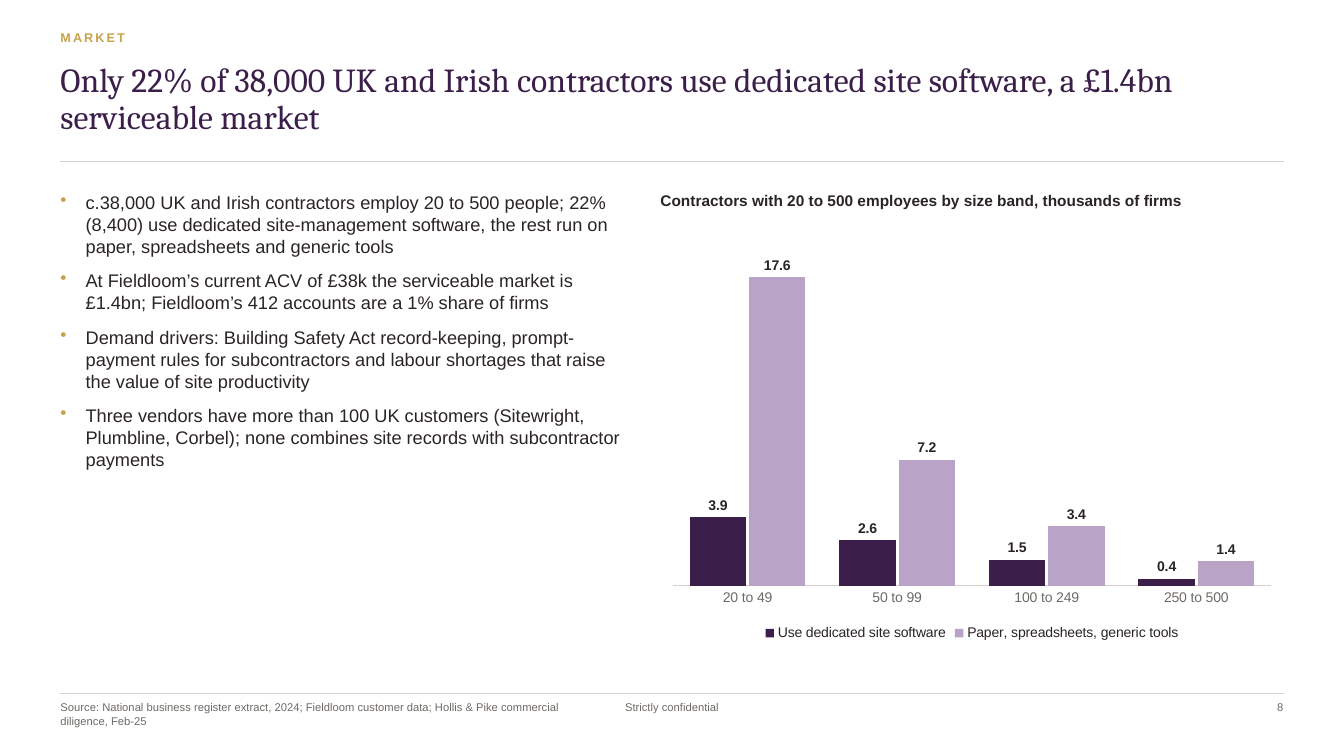
from pptx import Presentation, util as u
from pptx.chart.data import CategoryChartData
from pptx.dml.color import RGBColor
from pptx.enum import chart as charts, shapes, text
from pptx.oxml import parse_xml
from pptx.oxml.ns import nsdecls, qn

PLUM, LILAC, GOLD, INK, GREY, RULE = "3B1F4A", "B9A3C6", "C8A24A", "2A2328", "6E6A66", "D8D2CA"
SECTION = "MARKET"
HEADLINE = "Only 22% of 38,000 UK and Irish contractors use dedicated site software, a £1.4bn serviceable market"
POINTS = [
    "c.38,000 UK and Irish contractors employ 20 to 500 people; 22% (8,400) use dedicated site-management software, the rest run on paper, spreadsheets and generic tools",
    "At Fieldloom’s current ACV of £38k the serviceable market is £1.4bn; Fieldloom’s 412 accounts are a 1% share of firms",
    "Demand drivers: Building Safety Act record-keeping, prompt-payment rules for subcontractors and labour shortages that raise the value of site productivity",
    "Three vendors have more than 100 UK customers (Sitewright, Plumbline, Corbel); none combines site records with subcontractor payments",
]
CHART_TITLE = "Contractors with 20 to 500 employees by size band, thousands of firms"
SIZE_BANDS = ["20 to 49", "50 to 99", "100 to 249", "250 to 500"]
SERIES = [
    ("Use dedicated site software", [3.9, 2.6, 1.5, 0.4], PLUM),
    ("Paper, spreadsheets, generic tools", [17.6, 7.2, 3.4, 1.4], LILAC),
]
SOURCE = "Source: National business register extract, 2024; Fieldloom customer data; Hollis & Pike commercial diligence, Feb-25"
CONFIDENTIAL = "Strictly confidential"
PAGE_NUMBER = "8"

WIDTH, HEIGHT, MARGIN = 13.33, 7.5, 0.6
RIGHT = WIDTH - MARGIN
BODY_TOP, BODY_BOTTOM, FOOTER_TOP = 1.9, 6.4, 6.95
CHART_LEFT, CHART_TOP = 6.55, 2.25
CHART_WIDTH = RIGHT - CHART_LEFT
CENTRE, END = text.PP_ALIGN.CENTER, text.PP_ALIGN.RIGHT


def colour(code):
    return RGBColor.from_string(code)


def style(font, size, code, bold=False, name="Arial"):
    font.name, font.size, font.bold = name, u.Pt(size), bold
    font.color.rgb = colour(code)


def add_text(page, left, top, width, height, lines, size, code, bold=False, name="Arial", align=None):
    box = page.shapes.add_textbox(*map(u.Inches, (left, top, width, height)))
    frame = box.text_frame
    frame.word_wrap = True
    frame.margin_left = frame.margin_top = frame.margin_right = frame.margin_bottom = 0
    frame.text = "\n".join(lines)
    for para in frame.paragraphs:
        para.alignment = align
        for span in para.runs:
            style(span.font, size, code, bold, name)
    return frame.paragraphs


def add_bullet(para):
    props = para._p.get_or_add_pPr()
    props.set("marL", str(u.Inches(0.25)))
    props.set("indent", str(-u.Inches(0.25)))
    props.append(parse_xml(f'<a:buClr {nsdecls("a")}><a:srgbClr val="{GOLD}"/></a:buClr>'))
    props.append(parse_xml(f'<a:buChar {nsdecls("a")} char="•"/>'))


def add_rule(page, top, weight):
    rule = page.shapes.add_connector(
        shapes.MSO_CONNECTOR.STRAIGHT, *map(u.Inches, (MARGIN, top, RIGHT, top)))
    rule.line.color.rgb = colour(RULE)
    rule.line.width = u.Pt(weight)
    rule._element.spPr.append(parse_xml(f'<a:effectLst {nsdecls("a")}/>'))


def add_size_chart(page):
    data = CategoryChartData(number_format="0.0")
    data.categories = SIZE_BANDS
    for label, values, _ in SERIES:
        data.add_series(label, values)
    frame = page.shapes.add_chart(
        charts.XL_CHART_TYPE.COLUMN_CLUSTERED,
        *map(u.Inches, (CHART_LEFT, CHART_TOP, CHART_WIDTH, BODY_BOTTOM - CHART_TOP)), data)
    chart = frame.chart
    chart.has_title = False
    style(chart.font, 10, INK)
    chart.has_legend = True
    chart.legend.position = charts.XL_LEGEND_POSITION.BOTTOM
    chart.legend.include_in_layout = False
    style(chart.legend.font, 10, INK)

    bands = chart.category_axis
    bands.major_tick_mark = charts.XL_TICK_MARK.NONE
    style(bands.tick_labels.font, 10, GREY)
    bands.format.line.color.rgb = colour(RULE)
    bands.format.line.width = u.Pt(0.75)
    firms = chart.value_axis
    firms.visible = False
    firms.has_major_gridlines = False
    firms.minimum_scale = 0

    plot = chart.plots[0]
    plot.vary_by_categories = False
    plot.gap_width, plot.overlap = 60, -5
    for series, (_, _, code) in zip(plot.series, SERIES):
        series.format.fill.solid()
        series.format.fill.fore_color.rgb = colour(code)
        labels = series.data_labels
        labels.show_value = True
        labels.position = charts.XL_LABEL_POSITION.OUTSIDE_END
        labels.number_format, labels.number_format_is_linked = "0.0", False
        style(labels.font, 10, INK, True)


def main():
    deck = Presentation()
    deck.slide_width, deck.slide_height = u.Inches(WIDTH), u.Inches(HEIGHT)
    page = deck.slides.add_slide(deck.slide_layouts[6])

    add_rule(page, 6.88, 0.5)
    section = add_text(page, MARGIN, 0.3, 7, 0.25, [SECTION], 9, GOLD, True)
    section[0].runs[0]._r.get_or_add_rPr().set("spc", "150")
    add_rule(page, 1.6, 0.75)
    headline = add_text(page, MARGIN, 0.62, RIGHT - MARGIN, 0.9, [HEADLINE], 24, PLUM, name="Cambria")
    headline[0].line_spacing = 0.92

    points = add_text(page, MARGIN, BODY_TOP, 5.6, BODY_BOTTOM - BODY_TOP, POINTS, 13, INK)
    for index, para in enumerate(points):
        add_bullet(para)
        para.space_before = u.Pt(9 if index else 0)

    add_text(page, CHART_LEFT, BODY_TOP, CHART_WIDTH, 0.3, [CHART_TITLE], 11, INK, True)
    add_size_chart(page)

    add_text(page, MARGIN, FOOTER_TOP, 5, 0.4, [SOURCE], 8, GREY)
    add_text(page, (WIDTH - 2) / 2, FOOTER_TOP, 2, 0.25, [CONFIDENTIAL], 8, GREY, align=CENTRE)
    add_text(page, RIGHT - 1, FOOTER_TOP, 1, 0.25, [PAGE_NUMBER], 8, GREY, align=END)
    deck.save("out.pptx")


if __name__ == "__main__":
    main()
